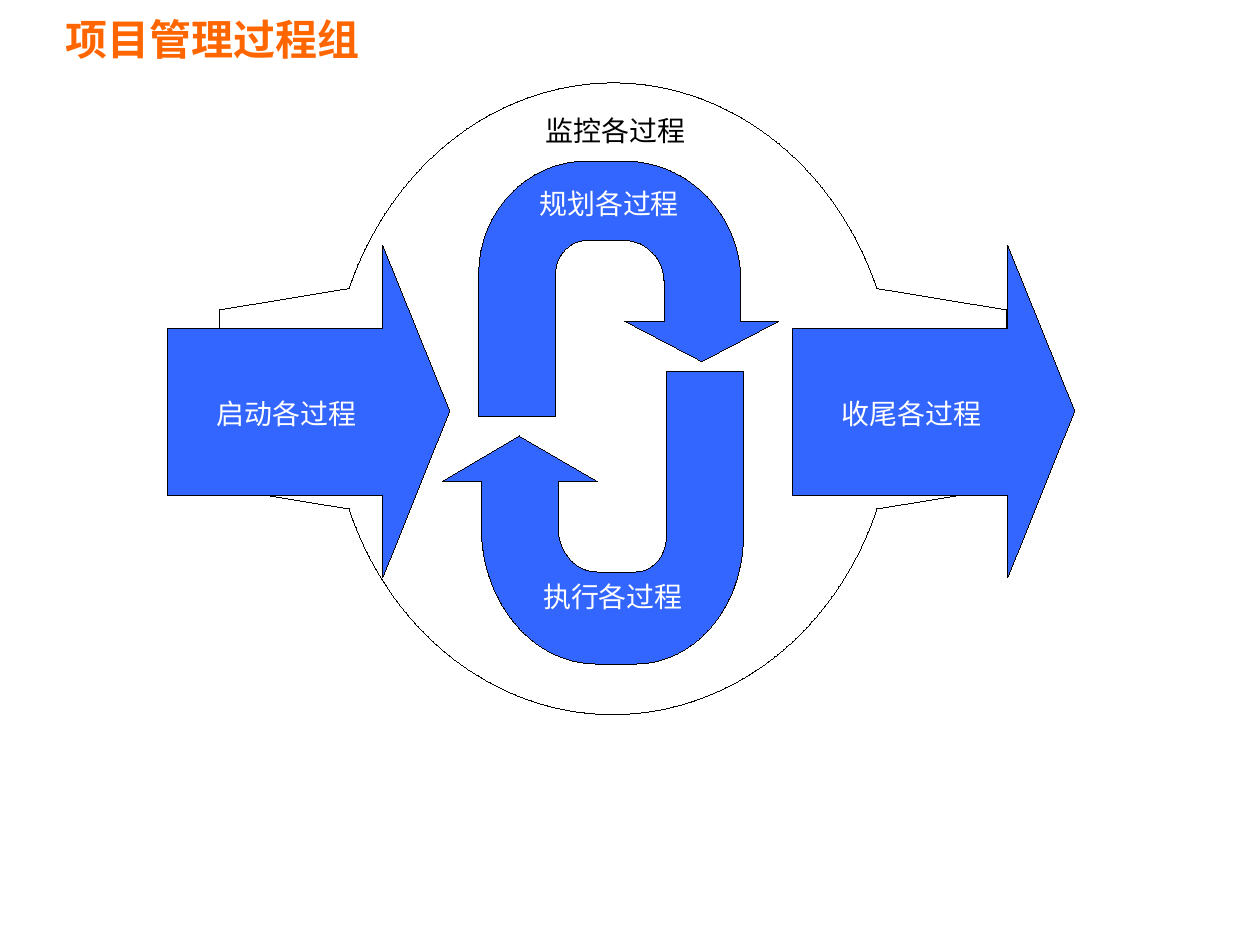
"""Draw the project management process groups slide."""
from dataclasses import dataclass

from lxml import etree
from pptx import Presentation
from pptx.dml.color import RGBColor
from pptx.enum.text import MSO_ANCHOR, PP_ALIGN
from pptx.oxml.ns import qn
from pptx.util import Cm, Length, Pt

TOP, MIDDLE = MSO_ANCHOR.TOP, MSO_ANCHOR.MIDDLE
LEFT, CENTER = PP_ALIGN.LEFT, PP_ALIGN.CENTER
CJK_FONT = "Noto Sans CJK SC"
BLUE, WHITE, BLACK, ORANGE = "3366FF", "FFFFFF", "000000", "FF6600"

Segment = tuple[float, ...]


@dataclass(frozen=True)
class Label:
    text: str
    left: float
    top: float
    color: str = WHITE


@dataclass(frozen=True)
class Outline:
    left: float
    top: float
    width: float
    height: float
    segments: list[Segment]
    fill: str = BLUE


def half_turn(segments: list[Segment], center: tuple[float, float]) -> list[Segment]:
    """Rotate path segments by 180 degrees about a centre."""
    return [tuple(2 * center[i % 2] - value for i, value in enumerate(segment))
            for segment in segments]


def phase_arrow(left: float) -> Outline:
    """Describe a wide block arrow for the opening or closing phase."""
    neck, tip = left + 1.71, left + 2.24
    return Outline(left, 1.95, 2.24, 2.64, [
        (left, 3.93), (neck, 3.93), (neck, 4.58), (tip, 3.26),
        (neck, 1.95), (neck, 2.61), (left, 2.61),
    ])


MONITORING_HALF: list[Segment] = [
    (7.99, 2.46), (6.96, 2.29),
    (6.52, 0.99, 5.24, 0.33, 4.08, 0.82),
    (3.48, 1.07, 3, 1.61, 2.77, 2.29),
    (1.74, 2.46),
]
MONITORING = Outline(
    1.74, 0.66, 6.25, 5.01,
    MONITORING_HALF + half_turn(MONITORING_HALF, (4.865, 3.165)), WHITE)
EXECUTING = Outline(3.51, 2.95, 2.39, 2.32, [
    (5.04, 4.54), (5.18, 4.54, 5.29, 4.41, 5.29, 4.25),
    (5.29, 2.95), (5.9, 2.95), (5.9, 4.25),
    (5.9, 4.82, 5.51, 5.27, 5.04, 5.27),
    (4.74, 5.27), (4.23, 5.27, 3.82, 4.78, 3.82, 4.18),
    (3.82, 3.82), (3.51, 3.82), (4.12, 3.46), (4.74, 3.82), (4.43, 3.82),
    (4.43, 4.18), (4.43, 4.38, 4.57, 4.54, 4.74, 4.54),
])
PLANNING = Outline(3.8, 1.28, 2.39, 2.03, [
    (4.65, 1.91), (4.52, 1.91, 4.41, 2.03, 4.41, 2.17),
    (4.41, 3.31), (3.8, 3.31), (3.8, 2.17),
    (3.8, 1.68, 4.18, 1.28, 4.65, 1.28),
    (4.96, 1.28), (5.47, 1.28, 5.88, 1.71, 5.88, 2.23),
    (5.88, 2.55), (6.18, 2.55), (5.57, 2.87), (4.96, 2.55), (5.27, 2.55),
    (5.27, 2.23), (5.27, 2.06, 5.13, 1.91, 4.96, 1.91),
])
OUTLINES = (MONITORING, phase_arrow(1.33), phase_arrow(6.29), EXECUTING, PLANNING)
LABELS = (
    Label("启动各过程", 1.72, 3.15),
    Label("收尾各过程", 6.68, 3.15),
    Label("规划各过程", 4.28, 1.48),
    Label("执行各过程", 4.31, 4.6),
    Label("监控各过程", 4.33, 0.9, BLACK),
)


def size(inches: float) -> Length:
    """Convert inches to a length."""
    return Cm(inches * 2.54)


def rgb(color: str) -> RGBColor:
    """Convert a hex string to a colour."""
    return RGBColor.from_string(color)


def paint(shape, fill: str) -> None:
    """Give a shape a flat fill and a black hairline."""
    shape.shadow.inherit = False
    shape.fill.solid()
    shape.fill.fore_color.rgb = rgb(fill)
    shape.line.color.rgb = rgb(BLACK)
    shape._element.spPr.find(qn("a:ln")).set("w", "0")


def draw_outline(slide, outline: Outline) -> None:
    """Draw a closed outline of straight lines and cubic curves."""
    left, top = size(outline.left), size(outline.top)
    right, bottom = left + size(outline.width), top + size(outline.height)
    builder = slide.shapes.build_freeform(left, top, scale=1.0)
    builder.add_line_segments([(right, top), (right, bottom), (left, bottom)])
    shape = builder.convert_to_shape()
    contour = next(shape._element.iter(qn("a:path")))
    for corner in list(contour):
        contour.remove(corner)
    for index, segment in enumerate(outline.segments):
        command = "cubicBezTo" if len(segment) == 6 else "lnTo" if index else "moveTo"
        step = etree.SubElement(contour, qn(f"a:{command}"))
        for x, y in zip(segment[::2], segment[1::2]):
            etree.SubElement(step, qn("a:pt"), x=str(size(x) - left), y=str(size(y) - top))
    etree.SubElement(contour, qn("a:close"))
    paint(shape, outline.fill)


def add_text(slide, text: str, *, left: float, top: float, width: float, height: float,
             points: float, color: str, font: str = CJK_FONT, bold: bool = False,
             align=CENTER, anchor=TOP, wrap: bool = False,
             inset_x: float = 0, inset_y: float = 0) -> None:
    """Add a text box with one formatted run."""
    box = slide.shapes.add_textbox(size(left), size(top), size(width), size(height))
    frame = box.text_frame
    frame.word_wrap = wrap
    frame.vertical_anchor = anchor
    frame.margin_left = frame.margin_right = size(inset_x)
    frame.margin_top = frame.margin_bottom = size(inset_y)
    paragraph = frame.paragraphs[0]
    paragraph.alignment = align
    run = paragraph.add_run()
    run.text = text
    run.font.size = Pt(points)
    run.font.bold = bold
    run.font.color.rgb = rgb(color)
    run.font.name = font
    etree.SubElement(run._r.get_or_add_rPr(), qn("a:ea"), typeface=CJK_FONT)


def main() -> None:
    """Build and save the slide."""
    deck = Presentation()
    deck.slide_width, deck.slide_height = size(10), size(7.5)
    slide = deck.slides.add_slide(deck.slide_layouts[6])

    for outline in OUTLINES:
        draw_outline(slide, outline)
    for label in LABELS:
        add_text(slide, label.text, left=label.left, top=label.top, width=1.11,
                 height=0.27, points=16, color=label.color)
    add_text(slide, "项目管理过程组", left=0.42, top=0, width=4.58, height=0.62,
             points=24, color=ORANGE, font="Arial", bold=True, align=LEFT,
             anchor=MIDDLE, wrap=True, inset_x=0.1, inset_y=0.05)
    deck.save("out.pptx")


if __name__ == "__main__":
    main()
